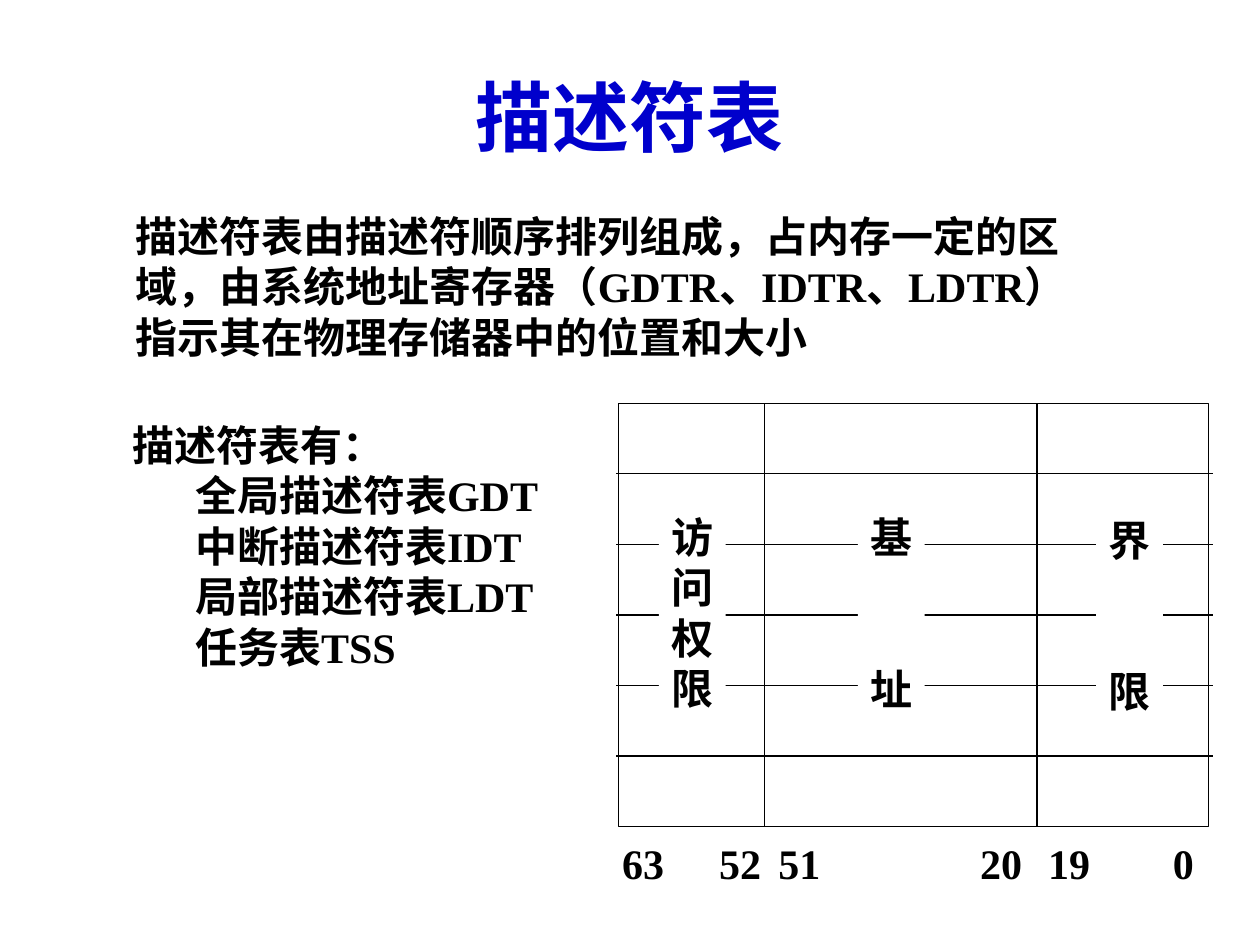
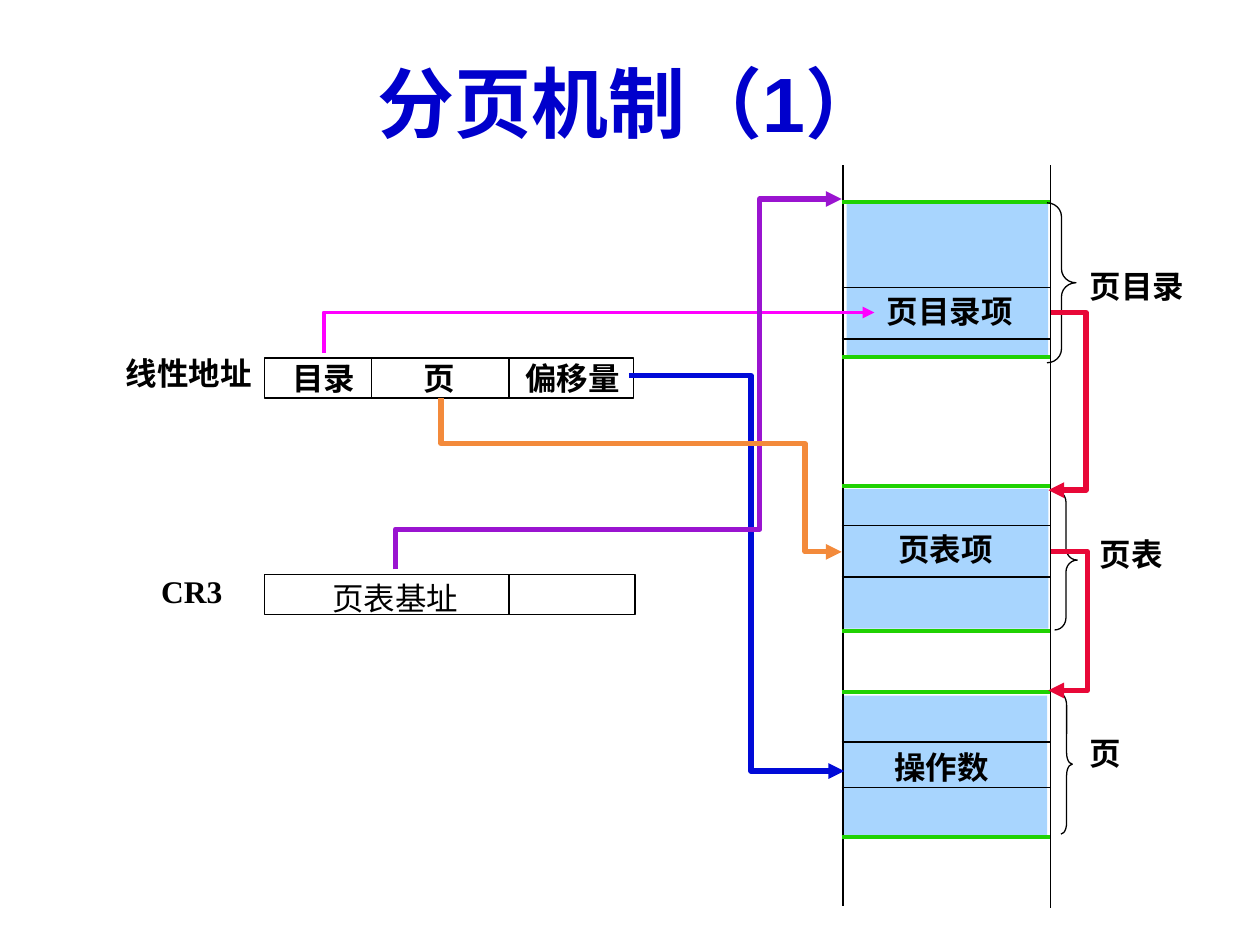
from dataclasses import dataclass
from typing import Any, NamedTuple

from lxml.etree import SubElement as Sub
from pptx import Presentation
from pptx.dml.color import RGBColor as Rgb
from pptx.enum.shapes import MSO_CONNECTOR as Conn, MSO_SHAPE as Kind
from pptx.enum.text import MSO_ANCHOR as Anchor, MSO_AUTO_SIZE as Auto, PP_ALIGN as Align
from pptx.oxml.ns import qn
from pptx.slide import Slide
from pptx.util import Inches, Pt

BLACK, WHITE, BLUE = "000000", "FFFFFF", "0000CC"
SKY, GREEN, RED = "A8D5FE", "20D202", "E80838"
TIMES, ARIAL = "Times New Roman", "Arial"
HEAD = {"size": Pt(44), "bold": True, "name": TIMES}
BODY = {"size": Pt(24), "bold": True, "name": TIMES}
NOTE = {"size": Pt(18), "bold": True, "name": TIMES}
Point = tuple[float, float]


class Box(NamedTuple):
    """Left, top, width and height in inches."""
    x: float
    y: float
    w: float
    h: float


@dataclass
class Label:
    """Text with its place and font."""
    text: str
    box: Box
    font: dict[str, Any]


@dataclass
class Field:
    """Descriptor column label and the gap between its signs."""
    signs: str
    x: float
    y: float
    gap: float


@dataclass
class Zone:
    """Shaded part of memory with its edges, rows and brace."""
    area: Box
    edges: Point
    rows: Point
    brace: Box
    bend: float


@dataclass
class Route:
    """Arrow through several points."""
    color: str
    points: list[Point]
    width: float = 3


def paint(part: Any, color: str) -> None:
    """Colour a fill or a font."""
    if hasattr(part, "solid"):
        part.solid()
        part.fore_color.rgb = Rgb.from_string(color)
    else:
        part.color.rgb = Rgb.from_string(color)


def put(part: Any, values: dict[str, Any]) -> None:
    """Set attributes from a dict."""
    for name, value in values.items():
        setattr(part, name, value)


def write(shape: Any, lines: list[str], font: dict[str, Any],
          color: str = BLACK, para: dict[str, Any] | None = None) -> None:
    """Fill a shape with one paragraph per line."""
    frame = shape.text_frame
    frame.text = "\n".join(lines)
    for item in frame.paragraphs:
        put(item, {"alignment": Align.LEFT, **(para or {})})
        put(item.font, font)
        paint(item.font, color)


def text(slide: Slide, label: Label, wrap: bool = False) -> Any:
    """Add a text box."""
    shape = slide.shapes.add_textbox(*map(Inches, label.box))
    put(shape.text_frame, {"word_wrap": wrap, "auto_size": Auto.SHAPE_TO_FIT_TEXT})
    write(shape, label.text.split("\n"), label.font)
    return shape


def title(slide: Slide, label: Label) -> None:
    """Add the blue centred title."""
    shape = slide.shapes.add_textbox(*map(Inches, label.box))
    put(shape.text_frame, {"word_wrap": True, "vertical_anchor": Anchor.MIDDLE})
    write(shape, [label.text], label.font, BLUE, {"alignment": Align.CENTER})


def edge(shape: Any, color: str, width: float) -> None:
    """Outline an unfilled shape."""
    shape.shadow.inherit = False
    shape.fill.background()
    paint(shape.line.fill, color)
    shape.line.width = Pt(width)


def solid(slide: Slide, box: Box, color: str) -> Any:
    """Add a filled rectangle without outline."""
    shape = slide.shapes.add_shape(Kind.RECTANGLE, *map(Inches, box))
    shape.shadow.inherit = False
    paint(shape.fill, color)
    shape.line.fill.background()
    return shape


def frame(slide: Slide, box: Box, kind: Any = Kind.RECTANGLE) -> Any:
    """Add a thin black outline."""
    shape = slide.shapes.add_shape(kind, *map(Inches, box))
    edge(shape, BLACK, 0.75)
    return shape


def line(slide: Slide, start: Point, end: Point,
         color: str = BLACK, width: float = 0.75) -> None:
    """Add a straight line."""
    shape = slide.shapes.add_connector(Conn.STRAIGHT, *map(Inches, start + end))
    paint(shape.line.fill, color)
    shape.line.width = Pt(width)
    Sub(shape._element.spPr, qn("a:effectLst"))


def arrow(slide: Slide, route: Route) -> None:
    """Draw a route that ends in an arrowhead."""
    first, *rest = [(Inches(x), Inches(y)) for x, y in route.points]
    path = slide.shapes.build_freeform(*first)
    path.add_line_segments(rest, close=False)
    shape = path.convert_to_shape()
    edge(shape, route.color, route.width)
    stroke = shape.line._get_or_add_ln()
    Sub(stroke, qn("a:round"))
    Sub(stroke, qn("a:tailEnd"), type="triangle")


def tables(slide: Slide) -> None:
    """Build the descriptor table slide."""
    title(slide, Label("描述符表", Box(0.5, 0.3, 9, 1.24), HEAD))
    intro = ("描述符表由描述符顺序排列组成，占内存一定的区域，"
             "由系统地址寄存器（GDTR、IDTR、LDTR）指示其在物理存储器中的位置和大小")
    text(slide, Label(intro, Box(0.98, 1.62, 7.8, 1.3), BODY), True)
    kinds = "描述符表有：\n全局描述符表GDT\n中断描述符表IDT\n局部描述符表LDT\n任务表TSS"
    shape = text(slide, Label(kinds, Box(0.95, 3.28, 3.5, 2.1), BODY))
    for item in shape.text_frame.paragraphs[1:]:
        item._p.get_or_add_pPr().set("marL", str(Inches(0.5)))

    grid = Box(4.91, 3.2, 4.68, 3.36)
    step = grid.h / 6
    rows = [grid.y + step * n for n in range(1, 6)]
    frame(slide, grid)
    for x in (6.07, 8.23):
        line(slide, (x, grid.y), (x, grid.y + grid.h))
    for y in rows[1:4]:
        line(slide, (4.89, y), (9.63, y))
    for field in (Field("访问权限", 5.23, 3.61, 0), Field("基址", 6.81, 3.61, 58),
                  Field("界限", 8.7, 3.63, 58)):
        shape = solid(slide, Box(field.x, field.y, 0.53, 2.5), WHITE)
        put(shape.text_frame, {"word_wrap": False, "vertical_anchor": Anchor.TOP,
                               "margin_top": Inches(0.45)})
        write(shape, list(field.signs), BODY)
        for item in shape.text_frame.paragraphs[1:]:
            item.space_before = Pt(field.gap)
    for y in (rows[0], rows[4]):
        line(slide, (4.89, y), (9.63, y))
    for bit, x in (("63", 4.84), ("52", 5.61), ("51", 6.08),
                   ("20", 7.68), ("19", 8.22), ("0", 9.21)):
        text(slide, Label(bit, Box(x, 6.6, 0.19 + 0.17 * len(bit), 0.5), BODY))


ZONES = [
    Zone(Box(6.72, 1.6, 1.6, 1.22), (1.6, 2.83), (2.28, 2.69), Box(8.31, 1.61, 0.23, 1.27), 0.48),
    Zone(Box(6.7, 3.88, 1.62, 1.11), (3.86, 5.01), (4.17, 4.58), Box(8.37, 3.89, 0.18, 1.11), 0.53),
    Zone(Box(6.69, 5.52, 1.62, 1.11), (5.49, 6.64), (5.89, 6.25), Box(8.42, 5.51, 0.09, 1.11), 1),
]
NAMES = [
    Label("线性地址", Box(0.9, 2.76, 1.21, 0.4), NOTE),
    Label("目录", Box(2.22, 2.8, 0.7, 0.4), NOTE),
    Label("页", Box(3.26, 2.8, 0.45, 0.4), NOTE),
    Label("偏移量", Box(4.07, 2.8, 0.95, 0.4), NOTE),
    Label("CR3", Box(1.18, 4.49, 0.85, 0.4), NOTE),
    Label("页表基址", Box(2.54, 4.55, 1.2, 0.4), {**NOTE, "bold": False, "name": ARIAL}),
    Label("页目录项", Box(6.94, 2.27, 1.2, 0.4), NOTE),
    Label("页表项", Box(7.03, 4.16, 0.95, 0.4), NOTE),
    Label("操作数", Box(7, 5.89, 0.95, 0.4), NOTE),
    Label("页目录", Box(8.55, 2.07, 0.95, 0.4), NOTE),
    Label("页表", Box(8.63, 4.2, 0.7, 0.4), NOTE),
    Label("页", Box(8.55, 5.78, 0.45, 0.4), NOTE),
]
ROUTES = [
    Route("FF00FF", [(2.57, 2.8), (2.57, 2.48), (6.94, 2.48)], 2.25),
    Route("000AD8", [(4.99, 2.98), (5.96, 2.98), (5.96, 6.12), (6.7, 6.12)]),
    Route("9A14D0", [(3.14, 4.52), (3.14, 4.2), (6.03, 4.2), (6.03, 1.58), (6.68, 1.58)]),
    Route(RED, [(8.34, 2.48), (8.62, 2.48), (8.62, 3.89), (8.32, 3.89)]),
    Route("F38A3B", [(3.5, 3.16), (3.5, 3.52), (6.39, 3.52), (6.39, 4.38), (6.68, 4.38)]),
    Route(RED, [(8.34, 4.38), (8.63, 4.38), (8.63, 5.48), (8.32, 5.48)]),
]


def paging(slide: Slide) -> None:
    """Build the paging slide."""
    for zone in ZONES:
        solid(slide, zone.area, SKY)
    for x, end in ((6.69, 7.19), (8.34, 7.21)):
        line(slide, (x, 1.31), (x, end))
    for box, cuts in ((Box(2.1, 2.84, 2.93, 0.32), (2.95, 4.04)),
                      (Box(2.1, 4.56, 2.94, 0.32), (4.04,))):
        frame(slide, box)
        for x in cuts:
            line(slide, (x, box.y), (x, box.y + box.h))
    for zone in ZONES:
        for y in zone.edges:
            line(slide, (6.68, y), (8.33, y), GREEN, 2.25)
        for y in zone.rows:
            line(slide, (6.68, y), (8.33, y))
        brace = frame(slide, zone.brace, Kind.RIGHT_BRACE)
        brace.adjustments[0] = zone.bend
    for label in NAMES:
        text(slide, label)
    for route in ROUTES:
        arrow(slide, route)
    title(slide, Label("分页机制（1）", Box(0.5, 0.3, 9, 1.01), {**HEAD, "name": ARIAL}))


def main() -> None:
    """Build and save the slides."""
    deck = Presentation()
    put(deck, {"slide_width": Inches(10), "slide_height": Inches(7.5)})
    for build in (tables, paging):
        build(deck.slides.add_slide(deck.slide_layouts[6]))
    deck.save("out.pptx")


if __name__ == "__main__":
    main()
